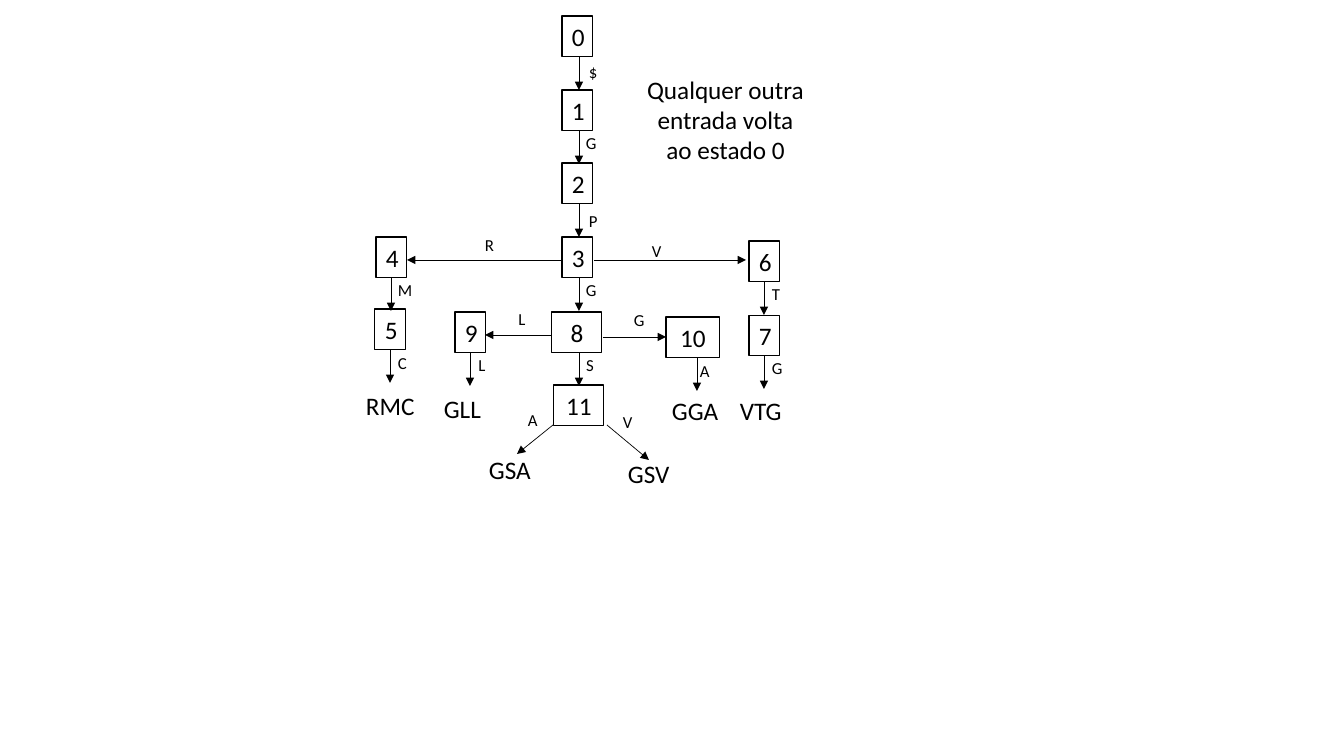
"""Builds the slide with the state diagram that recognises the three-letter codes."""
from pptx import Presentation
from pptx.dml.color import RGBColor
from pptx.enum.shapes import MSO_CONNECTOR, MSO_SHAPE
from pptx.enum.text import MSO_ANCHOR, MSO_AUTO_SIZE, PP_ALIGN
from pptx.oxml.ns import qn
from pptx.util import Emu, Pt
from lxml.etree import SubElement

BLACK = RGBColor(0, 0, 0)
FONT = "Calibri"
SLIDE_W, SLIDE_H = 1344, 756
SCALE = 12192000 / SLIDE_W
BOX_H, STEM_H = 41, 33
LABEL_W, LABEL_H = 28, 30

# state, left, top, width, stem x, input, input left, input top
STATES = [
    ("0", 206, 0, 31, 223, "$", 223, 41),
    ("1", 206, 74, 31, 223, "G", 220, 112),
    ("2", 206, 147, 31, 223, "P", 223, 190),
    ("3", 206, 221, 31, 223, "G", 220, 259),
    ("4", 20, 221, 31, 35, "M", 32, 259),
    ("5", 19, 293, 31, 34, "C", 32, 332),
    ("6", 393, 225, 31, 408, "T", 406, 263),
    ("7", 393, 299, 31, 408, "G", 406, 337),
    ("8", 196, 296, 50, 223, "S", 220, 334),
    ("9", 99, 296, 31, 114, "L", 112, 334),
    ("10", 310, 301, 54, 341, "A", 334, 340),
]
FORK = ("11", 198, 369, 50)

# input, input left, input top, arrow start, arrow end
BRANCHES = [
    ("R", 119, 214, (206, 244), (51, 244)),
    ("V", 286, 220, (238, 244), (390, 244)),
    ("L", 152, 288, (196, 319), (129, 319)),
    ("G", 268, 289, (247, 321), (310, 321)),
    ("A", 162, 389, (197, 409), (161, 438)),
    ("V", 257, 391, (251, 409), (293, 444)),
]

# code, left, top, width
CODES = [
    ("RMC", 0, 369, 70),
    ("GLL", 78, 372, 58),
    ("GGA", 306, 374, 68),
    ("VTG", 374, 374, 62),
    ("GSA", 123, 433, 62),
    ("GSV", 262, 437, 62),
]


def px(n):
    """Turn pixels into EMU."""
    return Emu(round(n * SCALE))


def write(sp, text, size=18, align=PP_ALIGN.CENTER, wrap=True):
    """Put black text at the top of a shape."""
    tf = sp.text_frame
    tf.word_wrap = wrap
    tf.auto_size = MSO_AUTO_SIZE.SHAPE_TO_FIT_TEXT
    tf.vertical_anchor = MSO_ANCHOR.TOP
    p = tf.paragraphs[0]
    p.text = text
    p.alignment = align
    p.font.size = Pt(size)
    p.font.name = FONT
    p.font.color.rgb = BLACK


def add_text(slide, text, x, y, w, h, **style):
    """Add a text box."""
    write(slide.shapes.add_textbox(px(x), px(y), px(w), px(h)), text, **style)


def add_state(slide, name, x, y, w):
    """Add the outlined box of one state."""
    sp = slide.shapes.add_shape(MSO_SHAPE.RECTANGLE, px(x), px(y), px(w), px(BOX_H))
    sp.shadow.inherit = False
    sp.fill.background()
    sp.line.color.rgb = BLACK
    sp.line.width = Pt(0.75)
    write(sp, name)


def add_arrow(slide, x1, y1, x2, y2):
    """Add a thin arrow that points at its second end."""
    line = slide.shapes.add_connector(MSO_CONNECTOR.STRAIGHT, px(x1), px(y1), px(x2), px(y2))
    line.line.color.rgb = BLACK
    line.line.width = Pt(0.5)
    SubElement(line.line._get_or_add_ln(), qn("a:tailEnd"), type="triangle")
    SubElement(line._element.spPr, qn("a:effectLst"))


def add_diagram(slide, x, y):
    """Draw the states, transitions and recognised codes from a top left corner."""
    def add_input(text, left, top):
        """Label a transition with its input."""
        add_text(slide, text, x + left, y + top, LABEL_W, LABEL_H, size=12)

    for name, left, top, w, stem, text, text_left, text_top in STATES:
        add_state(slide, name, x + left, y + top, w)
        bottom = y + top + BOX_H
        add_arrow(slide, x + stem, bottom, x + stem, bottom + STEM_H)
        add_input(text, text_left, text_top)
    name, left, top, w = FORK
    add_state(slide, name, x + left, y + top, w)
    for text, left, top, (x1, y1), (x2, y2) in BRANCHES:
        add_arrow(slide, x + x1, y + y1, x + x2, y + y2)
        add_input(text, left, top)
    for code, left, top, w in CODES:
        add_text(slide, code, x + left, y + top, w, BOX_H, align=PP_ALIGN.LEFT, wrap=False)


def add_note(slide, x, y, w, h):
    """Add the remark on all other inputs."""
    add_text(slide, "Qualquer outra\nentrada volta\nao estado 0", x, y, w, h, wrap=False)


prs = Presentation()
prs.slide_width, prs.slide_height = px(SLIDE_W), px(SLIDE_H)
slide = prs.slides.add_slide(prs.slide_layouts[6])
add_diagram(slide, 356, 16)
add_note(slide, 636, 69, 179, 102)
prs.save("out.pptx")
